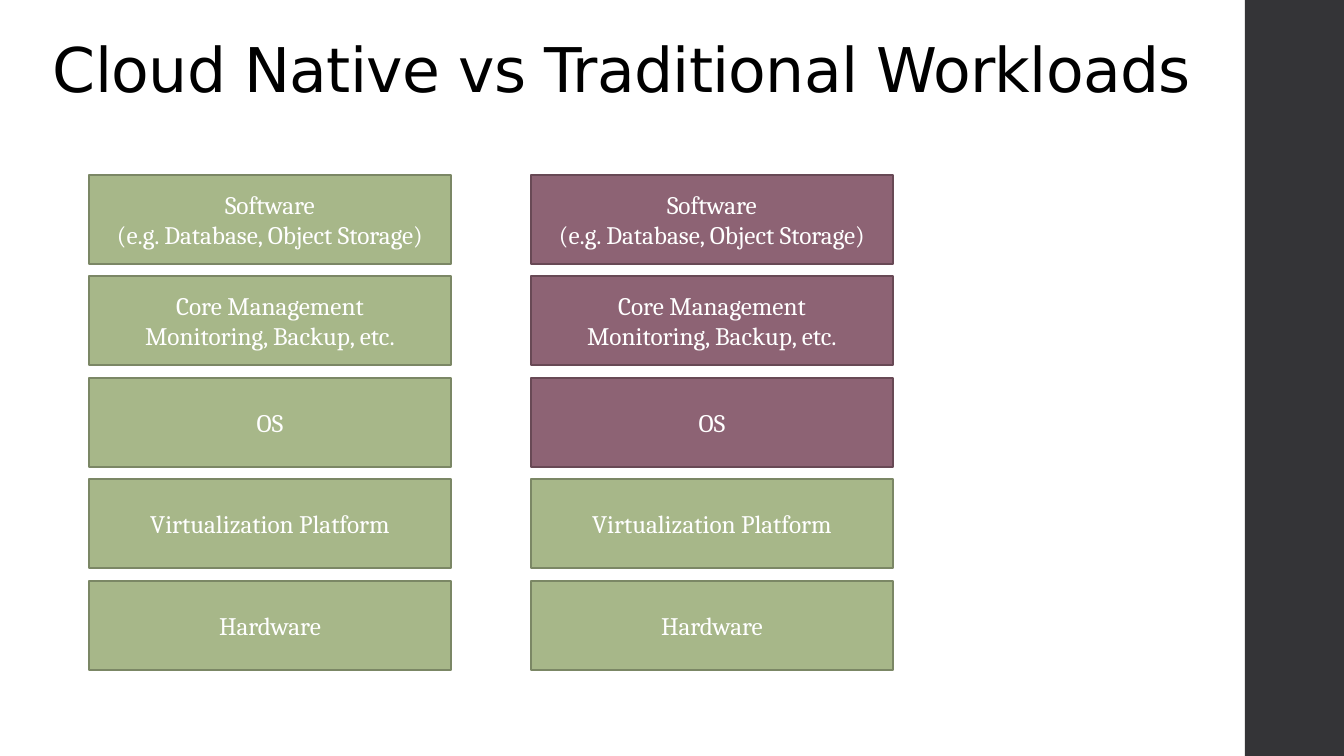
import pptx
import pptx.dml.color
import pptx.enum.shapes
import pptx.enum.text
import pptx.util

PP_ALIGN = pptx.enum.text.PP_ALIGN
ANCHOR = pptx.enum.text.MSO_ANCHOR
GREEN = ("A7B789", "7B8765")
PURPLE = ("8D6374", "684955")
LAYERS = [
    ["Software", "(e.g. Database, Object Storage)"],
    ["Core Management", "Monitoring, Backup, etc."],
    ["OS"],
    ["Virtualization Platform"],
    ["Hardware"],
]
STACKS = [
    (89, [GREEN] * 5),
    (531, [PURPLE] * 3 + [GREEN] * 2),
]


def px(length):
    return pptx.util.Emu(round(length * 914400 / 100.8))


def color(value):
    return pptx.dml.color.RGBColor.from_string(value)


def apply_format(target, values):
    for name, value in values.items():
        setattr(target, name, value)


class SlideBuilder:
    """Draws styled elements on one slide, with lengths in px."""

    title_font = {"name": "DejaVu Sans", "size": pptx.util.Pt(44)}
    box_font = {"name": "Cambria", "size": pptx.util.Pt(18)}
    line_width = pptx.util.Pt(1.11)

    def __init__(self, slide):
        self.slide = slide

    def set_text(self, shape, lines, font, text_color, anchor, paragraph_format):
        frame = shape.text_frame
        apply_format(frame, {"word_wrap": True, "vertical_anchor": anchor})
        frame.text = "\n".join(lines)
        for paragraph in frame.paragraphs:
            apply_format(paragraph, paragraph_format)
            for run in paragraph.runs:
                apply_format(run.font, font)
                run.font.color.rgb = color(text_color)

    def rectangle(self, left, top, width, height, fill, outline=None):
        shape = self.slide.shapes.add_shape(
            pptx.enum.shapes.MSO_SHAPE.RECTANGLE,
            px(left), px(top), px(width), px(height))
        shape.shadow.inherit = False
        shape.fill.solid()
        shape.fill.fore_color.rgb = color(fill)
        if outline:
            shape.line.color.rgb = color(outline)
            shape.line.width = self.line_width
        else:
            shape.line.fill.background()
        return shape

    def title(self, left, top, width, height, text):
        shape = self.slide.shapes.add_textbox(
            px(left), px(top), px(width), px(height))
        self.set_text(shape, [text], self.title_font, "000000", ANCHOR.BOTTOM,
                      {"alignment": PP_ALIGN.LEFT, "line_spacing": 0.9})
        for run in shape.text_frame.paragraphs[0].runs:
            run._r.get_or_add_rPr().set("spc", "-50")

    def layer(self, left, top, width, height, lines, colors):
        shape = self.rectangle(left, top, width, height, *colors)
        self.set_text(shape, lines, self.box_font, "FFFFFF", ANCHOR.MIDDLE,
                      {"alignment": PP_ALIGN.CENTER})


def main():
    presentation = pptx.Presentation()
    apply_format(presentation, {"slide_width": px(1344), "slide_height": px(756)})
    slide = presentation.slides.add_slide(presentation.slide_layouts[6])
    builder = SlideBuilder(slide)

    builder.rectangle(1245, 0, 99, 756, "343437")
    builder.title(43, 22, 1164, 89, "Cloud Native vs Traditional Workloads")
    for left, palette in STACKS:
        for row, (lines, colors) in enumerate(zip(LAYERS, palette)):
            builder.layer(left, 175 + row * 203 // 2, 362, 89, lines, colors)

    presentation.save("out.pptx")


if __name__ == "__main__":
    main()
